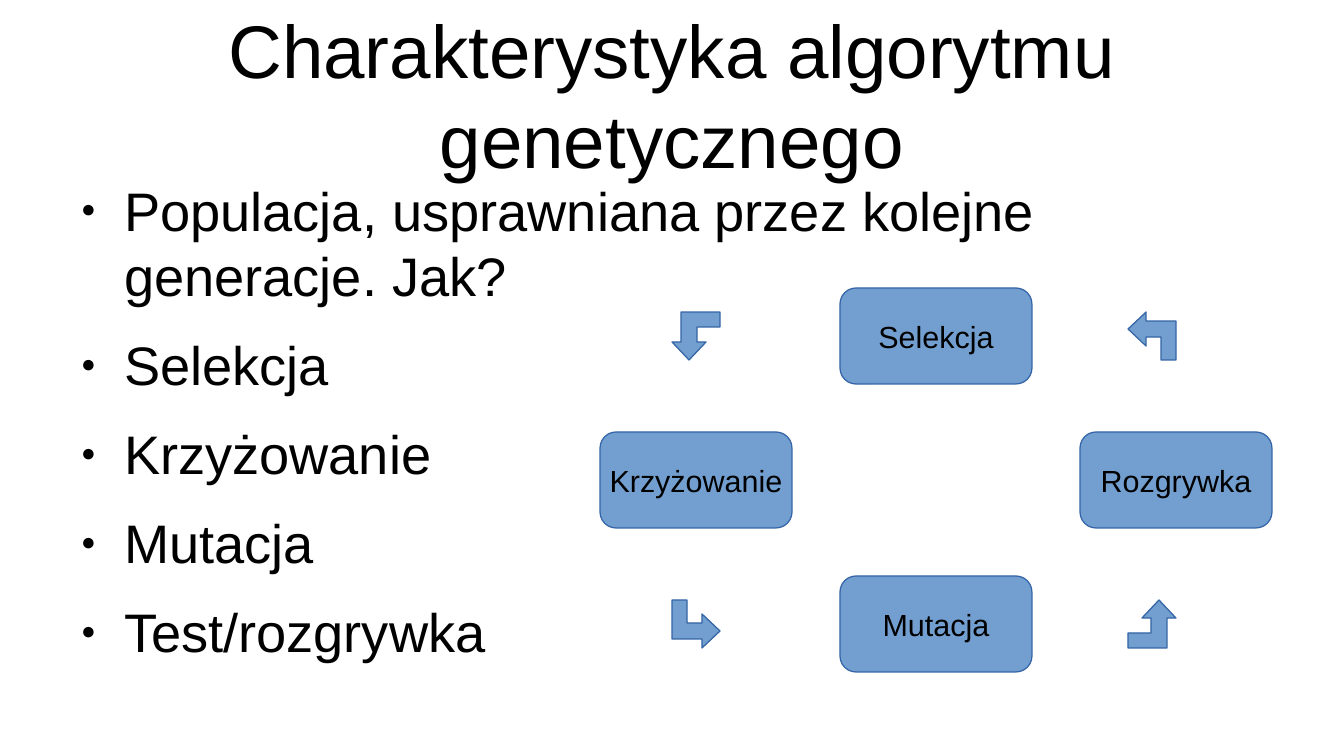
from lxml import etree
from pptx import Presentation
from pptx.dml.color import RGBColor
from pptx.enum.shapes import MSO_SHAPE
from pptx.enum.text import MSO_ANCHOR, MSO_AUTO_SIZE, PP_ALIGN
from pptx.oxml.ns import qn
from pptx.util import Pt

ROUNDED = MSO_SHAPE.ROUNDED_RECTANGLE
TOP, MIDDLE = MSO_ANCHOR.TOP, MSO_ANCHOR.MIDDLE
LEFT, CENTER = PP_ALIGN.LEFT, PP_ALIGN.CENTER
NO_FIT = MSO_AUTO_SIZE.NONE

BLACK = RGBColor(0x00, 0x00, 0x00)
BLUE = RGBColor(0x72, 0x9F, 0xCF)
DARK_BLUE = RGBColor(0x34, 0x65, 0xA4)
FONT = "Arial"
EMU_PER_PX = 7495

# Cycle diagram: boxes on a 3 x 3 grid, arrows in its corners
GRID_LEFT, GRID_TOP = 600, 288
STEP_X, STEP_Y = 240, 144
BOX_WIDTH, BOX_HEIGHT = 192, 96
STAGES = [("Selekcja", 1, 0), ("Krzyżowanie", 0, 1),
          ("Mutacja", 1, 2), ("Rozgrywka", 2, 1)]
ARROW_OUTLINE = [(0, 0), (15, 0), (15, 23), (30, 23), (30, 14),
                 (48, 31), (30, 48), (30, 39), (0, 39)]
ARROWS = [(672, 600, 0), (1128, 600, 270), (1128, 312, 180), (672, 312, 90)]

TITLE = "Charakterystyka algorytmu genetycznego"
POINTS = ["Populacja, usprawniana przez kolejne generacje. Jak?",
          "Selekcja", "Krzyżowanie", "Mutacja", "Test/rozgrywka"]


def px(length):
    return length * EMU_PER_PX


def add_span(para, text, size):
    span = para.add_run()
    span.text = text
    span.font.name = FONT
    span.font.size = Pt(size)
    span.font.color.rgb = BLACK


def place(holder, left, top, width, height, anchor):
    holder.left, holder.top = px(left), px(top)
    holder.width, holder.height = px(width), px(height)
    frame = holder.text_frame
    frame.margin_left = frame.margin_right = 0
    frame.margin_top = frame.margin_bottom = 0
    frame.auto_size = NO_FIT
    frame.word_wrap = True
    frame.vertical_anchor = anchor
    return frame


def add_bullet(para):
    props = para._p.get_or_add_pPr()
    props.set("marL", str(px(57)))
    props.set("indent", str(px(-43)))
    color = etree.SubElement(props, qn("a:buClr"))
    etree.SubElement(color, qn("a:srgbClr"), val=str(BLACK))
    etree.SubElement(props, qn("a:buSzPct"), val="45000")
    etree.SubElement(props, qn("a:buChar"), char="●")


def fill_title(page):
    frame = place(page.shapes.title, 67, 10, 1210, 167, MIDDLE)
    para = frame.paragraphs[0]
    para.alignment = CENTER
    add_span(para, TITLE, 44)


def fill_list(page):
    frame = place(page.placeholders[1], 67, 177, 1210, 439, TOP)
    for index, text in enumerate(POINTS):
        para = frame.add_paragraph() if index else frame.paragraphs[0]
        add_bullet(para)
        para.alignment = LEFT
        para.space_before = Pt(14.2 if index else 0)
        add_span(para, text, 32)


def paint(shape):
    shape.shadow.inherit = False
    shape.fill.solid()
    shape.fill.fore_color.rgb = BLUE
    shape.line.color.rgb = DARK_BLUE
    shape.line.width = 0


def add_stage(page, label, column, row):
    box = page.shapes.add_shape(
        ROUNDED, px(GRID_LEFT + column * STEP_X), px(GRID_TOP + row * STEP_Y),
        px(BOX_WIDTH), px(BOX_HEIGHT))
    paint(box)
    frame = box.text_frame
    frame.word_wrap = False
    frame.vertical_anchor = MIDDLE
    para = frame.paragraphs[0]
    para.alignment = CENTER
    add_span(para, label, 18)


def add_arrow(page, left, top, angle):
    start, *rest = ARROW_OUTLINE
    builder = page.shapes.build_freeform(*start, scale=EMU_PER_PX)
    builder.add_line_segments(rest, close=True)
    arrow = builder.convert_to_shape(px(left), px(top))
    arrow.rotation = angle
    paint(arrow)


def main():
    deck = Presentation()
    deck.slide_width, deck.slide_height = px(1344), px(756)
    page = deck.slides.add_slide(deck.slide_layouts[1])

    # Title and list
    fill_title(page)
    fill_list(page)

    # Cycle of stages
    for stage in STAGES:
        add_stage(page, *stage)
    for arrow in ARROWS:
        add_arrow(page, *arrow)

    deck.save("out.pptx")


if __name__ == "__main__":
    main()
